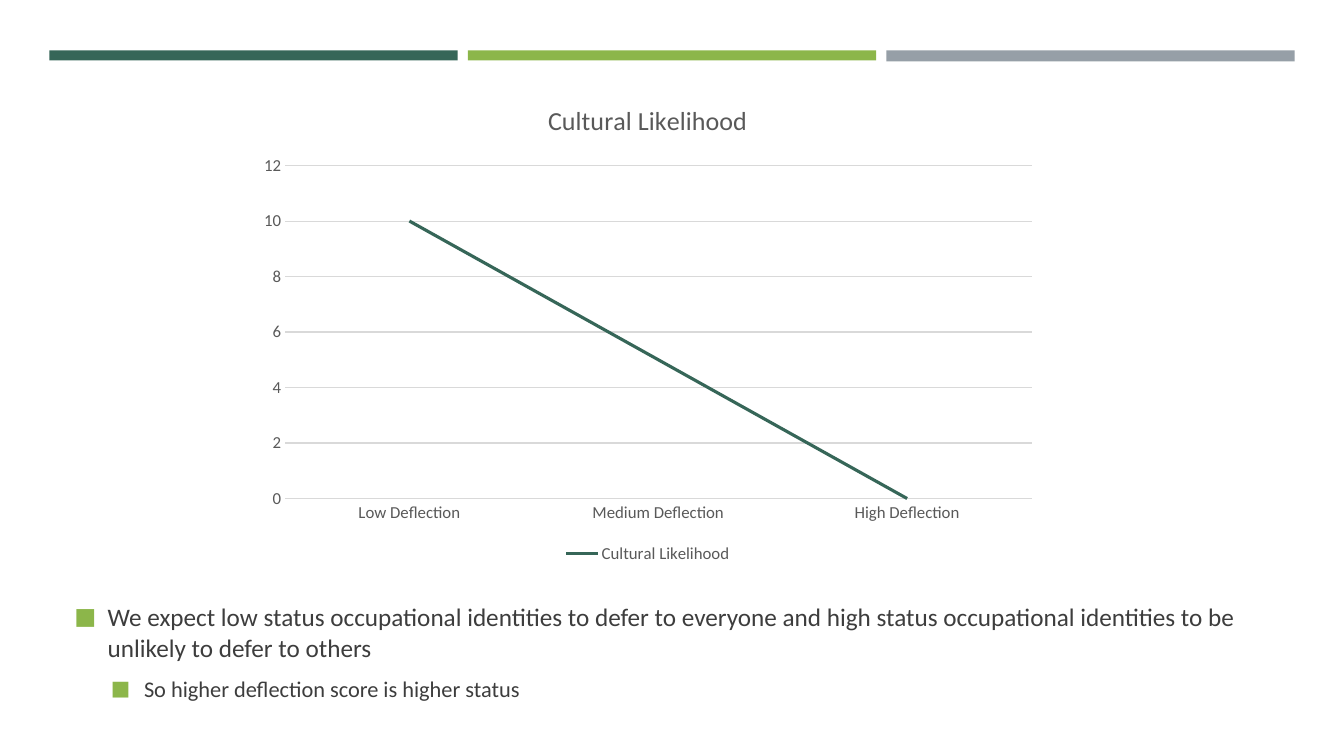
from lxml import etree
from pptx import Presentation
from pptx.chart.data import CategoryChartData
from pptx.dml.color import RGBColor
from pptx.enum.chart import XL_CHART_TYPE, XL_LEGEND_POSITION, XL_MARKER_STYLE, XL_TICK_MARK
from pptx.enum.shapes import MSO_SHAPE
from pptx.enum.text import MSO_ANCHOR
from pptx.oxml.ns import qn
from pptx.util import Inches, Pt

LINE_CHART = XL_CHART_TYPE.LINE
BOTTOM = XL_LEGEND_POSITION.BOTTOM
NO_MARKER = XL_MARKER_STYLE.NONE
NO_TICK = XL_TICK_MARK.NONE
RECTANGLE = MSO_SHAPE.RECTANGLE
TOP = MSO_ANCHOR.TOP

WIDTH, HEIGHT = 13.33, 7.5
FONT = "Calibri"
COLORS = {
    "green": "366658",
    "lime": "8CB64A",
    "gray": "969FA7",
    "grid": "D9D9D9",
    "label": "595959",
    "body": "3D3D3D",
}
BAND_LEFT, BAND_TOP, BAND_WIDTH, BAND_STEP = 0.49, 0.5, 4.05, 4.15
BAND_HEIGHTS = {"green": 0.1, "lime": 0.1, "gray": 0.11}
MEASURE = "Cultural Likelihood"
LIKELIHOOD = {"Low Deflection": 10, "Medium Deflection": 5, "High Deflection": 0}
EXPECTATIONS = [
    ("We expect low status occupational identities to defer to everyone and high "
     "status occupational identities to be unlikely to defer to others", 0, 18),
    ("So higher deflection score is higher status", 1, 16),
]


def color(name):
    return RGBColor.from_string(COLORS[name])


def apply_format(target, values):
    for key, value in values.items():
        setattr(target, key, value)


def format_font(font, size, color_name):
    apply_format(font, {"name": FONT, "size": Pt(size), "bold": False})
    font.color.rgb = color(color_name)


def format_line(line, color_name, width):
    line.color.rgb = color(color_name)
    line.width = Pt(width)


def add_bands(slide):
    for column, (name, height) in enumerate(BAND_HEIGHTS.items()):
        band = slide.shapes.add_shape(
            RECTANGLE, Inches(BAND_LEFT + column * BAND_STEP), Inches(BAND_TOP),
            Inches(BAND_WIDTH), Inches(height))
        band.shadow.inherit = False
        band.fill.solid()
        band.fill.fore_color.rgb = color(name)
        band.line.fill.background()


def add_likelihood_chart(slide, left, top, width, height):
    likelihood = CategoryChartData()
    likelihood.categories = list(LIKELIHOOD)
    likelihood.add_series(MEASURE, list(LIKELIHOOD.values()))
    chart = slide.shapes.add_chart(
        LINE_CHART, Inches(left), Inches(top), Inches(width), Inches(height),
        likelihood).chart
    format_font(chart.font, 12, "label")

    chart.has_title = True
    heading = chart.chart_title.text_frame
    heading.text = MEASURE
    format_font(heading.paragraphs[0].runs[0].font, 18.6, "label")
    chart.chart_title.include_in_layout = False

    chart.has_legend = True
    apply_format(chart.legend, {"position": BOTTOM, "include_in_layout": False})
    format_font(chart.legend.font, 12, "label")

    for axis in (chart.category_axis, chart.value_axis):
        apply_format(axis, {"major_tick_mark": NO_TICK, "minor_tick_mark": NO_TICK})
        format_font(axis.tick_labels.font, 12, "label")
    format_line(chart.category_axis.format.line, "grid", 0.75)
    scale = chart.value_axis
    apply_format(scale, {"minimum_scale": 0, "maximum_scale": 12, "major_unit": 2,
                         "has_major_gridlines": True})
    format_line(scale.major_gridlines.format.line, "grid", 0.75)
    scale.format.line.fill.background()

    plot = chart.plots[0]
    plot.vary_by_categories = False
    trend = plot.series[0]
    trend.smooth = False
    trend.marker.style = NO_MARKER
    format_line(trend.format.line, "green", 2.25)


def add_bullet(paragraph, level):
    properties = paragraph._p.get_or_add_pPr()
    properties.set("marL", str(Inches(0.33 + 0.36 * level)))
    properties.set("indent", str(-Inches(0.33)))
    tint = etree.SubElement(properties, qn("a:buClr"))
    etree.SubElement(tint, qn("a:srgbClr"), val=COLORS["lime"])
    etree.SubElement(properties, qn("a:buSzPct"), val="92000")
    etree.SubElement(properties, qn("a:buFont"), typeface=FONT)
    etree.SubElement(properties, qn("a:buChar"), char="■")


def add_expectations(slide, left, top, width, height):
    body = slide.shapes.add_textbox(
        Inches(left), Inches(top), Inches(width), Inches(height)).text_frame
    apply_format(body, {"word_wrap": True, "vertical_anchor": TOP})
    for index, (wording, level, size) in enumerate(EXPECTATIONS):
        paragraph = body.add_paragraph() if index else body.paragraphs[0]
        apply_format(paragraph, {"level": level, "space_before": Pt(size * 0.2),
                                 "space_after": Pt(6)})
        add_bullet(paragraph, level)
        statement = paragraph.add_run()
        statement.text = wording
        format_font(statement.font, size, "body")


def main():
    deck = Presentation()
    apply_format(deck, {"slide_width": Inches(WIDTH), "slide_height": Inches(HEIGHT)})
    slide = deck.slides.add_slide(deck.slide_layouts[6])
    add_bands(slide)
    add_likelihood_chart(slide, 2.46, 0.82, 7.93, 4.81)
    add_expectations(slide, 0.64, 5.92, 12.06, 1.52)
    deck.save("out.pptx")


if __name__ == "__main__":
    main()
